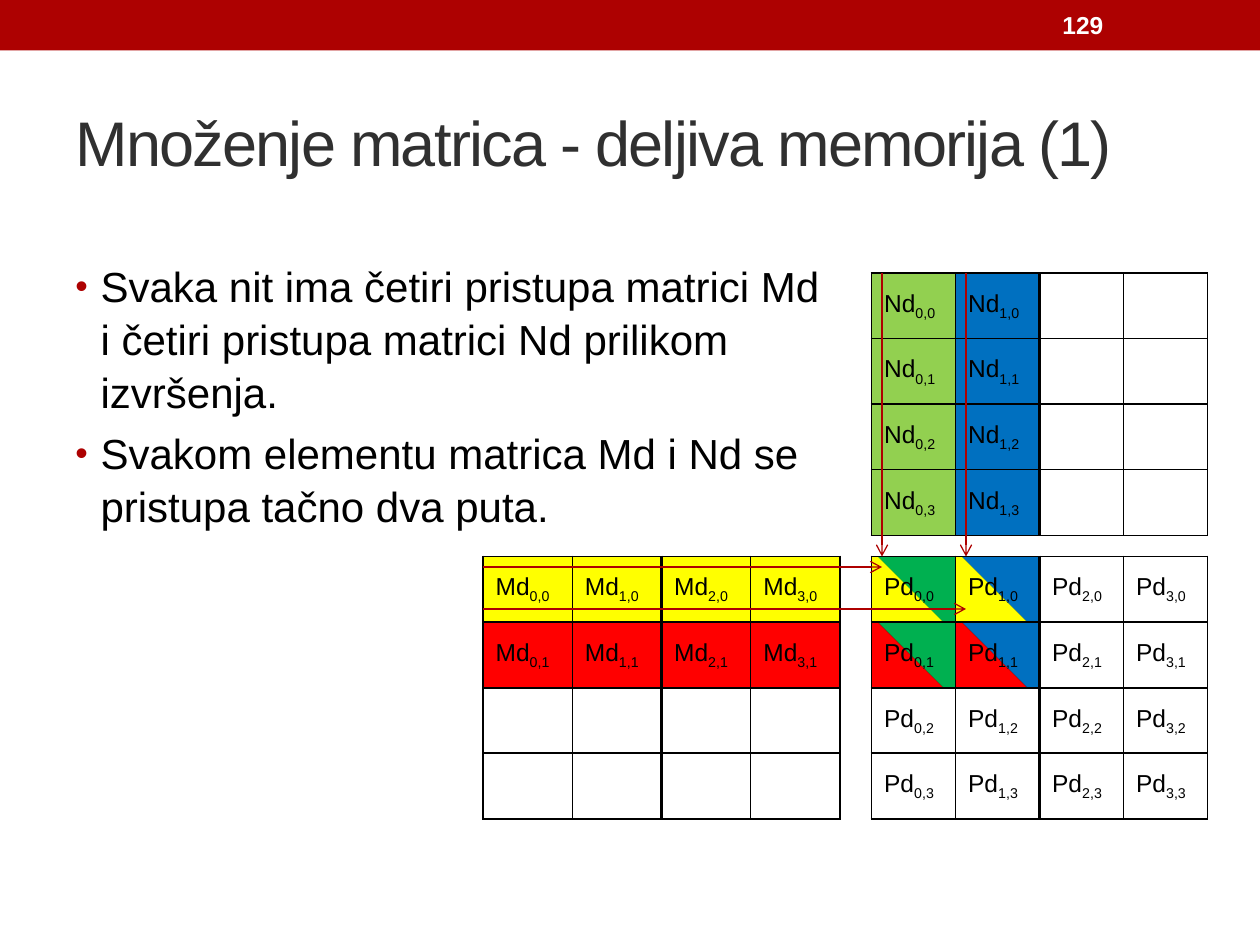
"""Build a slide on matrix multiplication with shared memory."""
from lxml.etree import SubElement
from pptx import Presentation
from pptx.dml.color import RGBColor
from pptx.enum.shapes import MSO_CONNECTOR as Connector, MSO_SHAPE as Shape
from pptx.enum.text import MSO_ANCHOR as Anchor
from pptx.oxml import parse_xml
from pptx.oxml.ns import nsdecls, qn
from pptx.util import Inches, Pt

BAR = RGBColor(0xAD, 0x01, 0x01)
ARROW = RGBColor(0xAE, 0x00, 0x00)
TITLE = RGBColor(0x30, 0x30, 0x30)
BLACK = RGBColor(0x00, 0x00, 0x00)
WHITE = RGBColor(0xFF, 0xFF, 0xFF)
LIME = RGBColor(0x92, 0xD0, 0x50)
GREEN = RGBColor(0x00, 0xB0, 0x50)
BLUE = RGBColor(0x00, 0x70, 0xC0)
YELLOW = RGBColor(0xFF, 0xFF, 0x00)
RED = RGBColor(0xFF, 0x00, 0x00)

UNIT = Inches(1) / 12
SIZE = 4
ROW = 6.25


def grid(*counts):
    return [round(count * UNIT) for count in counts]


def add_run(para, text, size, color):
    span = para.add_run()
    span.text = text
    span.font.name = "Arial"
    span.font.size = Pt(size)
    span.font.color.rgb = color
    return span


deck = Presentation()
deck.slide_width, deck.slide_height = grid(120, 90)
page = deck.slides.add_slide(deck.slide_layouts[6])

bar = page.shapes.add_shape(Shape.RECTANGLE, *grid(0, 0, 120, 4.8))
bar.shadow.inherit = False
bar.fill.solid()
bar.fill.fore_color.rgb = BAR
bar.line.fill.background()

headings = [
    ("Množenje matrica - deljiva memorija (1)", (6, 7, 108, 13), 36, TITLE, False, "-100"),
    ("129", (100, 0.25, 14, 4.25), 14, WHITE, True, "0"),
]
for text, place, size, color, bold, spacing in headings:
    box = page.shapes.add_textbox(*grid(*place))
    box.text_frame.word_wrap = True
    box.text_frame.vertical_anchor = Anchor.MIDDLE
    span = add_run(box.text_frame.paragraphs[0], text, size, color)
    span.font.bold = bold
    span.font._element.set("spc", spacing)

columns_nd = [[LIME, BLUE, None, None]] * SIZE
rows_md = [[color] * SIZE for color in (YELLOW, RED, None, None)]
mixed_pd = [[[left, GREEN], [left, BLUE], WHITE, WHITE] for left in (YELLOW, RED)]
matrices = [
    ("Nd", 83, 26, 8, columns_nd),
    ("Md", 46, 53, 8.5, rows_md),
    ("Pd", 83, 53, 8, mixed_pd + [[WHITE] * SIZE] * 2),
]
for name, left, top, width, fills in matrices:
    place = grid(left, top, width * SIZE, ROW * SIZE)
    table = page.shapes.add_table(SIZE, SIZE, *place).table
    table.first_row = table.horz_banding = False
    for index in range(SIZE):
        table.columns[index].width, table.rows[index].height = grid(width, ROW)
    for row in range(SIZE):
        for column in range(SIZE):
            cell = table.cell(row, column)
            cell.vertical_anchor = Anchor.MIDDLE
            color = fills[row][column]
            if isinstance(color, list):
                cell.fill.gradient()
                cell.fill.gradient_angle = 45
                for stop, shade, position in zip(cell.fill.gradient_stops, color, (0.48, 0.49)):
                    stop.color.rgb = shade
                    stop.position = position
            else:
                cell.fill.solid()
                cell.fill.fore_color.rgb = color or WHITE
            if color:
                para = cell.text_frame.paragraphs[0]
                add_run(para, name, 14, BLACK)
                index_span = add_run(para, f"{column},{row}", 14, BLACK)
                index_span.font._element.set("baseline", "-25000")
            middle_edges = {"L": column == 2, "R": column == 1, "T": row == 2, "B": row == 1}
            for order, (side, thick) in enumerate(middle_edges.items()):
                border = parse_xml(
                    f'<a:ln{side} {nsdecls("a")} w="{Pt(1.5 if thick else 1)}">'
                    f'<a:solidFill><a:srgbClr val="{BLACK}"/></a:solidFill></a:ln{side}>'
                )
                cell._tc.get_or_add_tcPr().insert(order, border)

arrows = [(46, 54, 84, 54), (46, 58, 92, 58), (84, 26, 84, 53), (92, 26, 92, 53)]
for ends in arrows:
    arrow = page.shapes.add_connector(Connector.STRAIGHT, *grid(*ends))
    arrow.line.color.rgb = ARROW
    arrow.line.width = Pt(0.75)
    SubElement(arrow.line._get_or_add_ln(), qn("a:tailEnd"), type="arrow")
    SubElement(arrow._element.spPr, qn("a:effectLst"))

points = [
    "Svaka nit ima četiri pristupa matrici Md i četiri pristupa matrici Nd prilikom izvršenja.",
    "Svakom elementu matrica Md i Nd se pristupa tačno dva puta.",
]
box = page.shapes.add_textbox(*grid(6, 24, 74, 26))
frame = box.text_frame
frame.word_wrap = True
for number, point in enumerate(points):
    para = frame.add_paragraph() if number else frame.paragraphs[0]
    para.space_before = Pt(4.8)
    para.line_spacing = 1.05
    add_run(para, point, 24, BLACK)
    props = para._p.get_or_add_pPr()
    props.set("marL", str(Inches(0.2)))
    props.set("indent", str(-Inches(0.2)))
    SubElement(SubElement(props, qn("a:buClr")), qn("a:srgbClr"), val=str(BAR))
    SubElement(props, qn("a:buSzPct"), val="85000")
    SubElement(props, qn("a:buFont"), typeface="Arial")
    SubElement(props, qn("a:buChar"), char="•")

deck.save("out.pptx")
